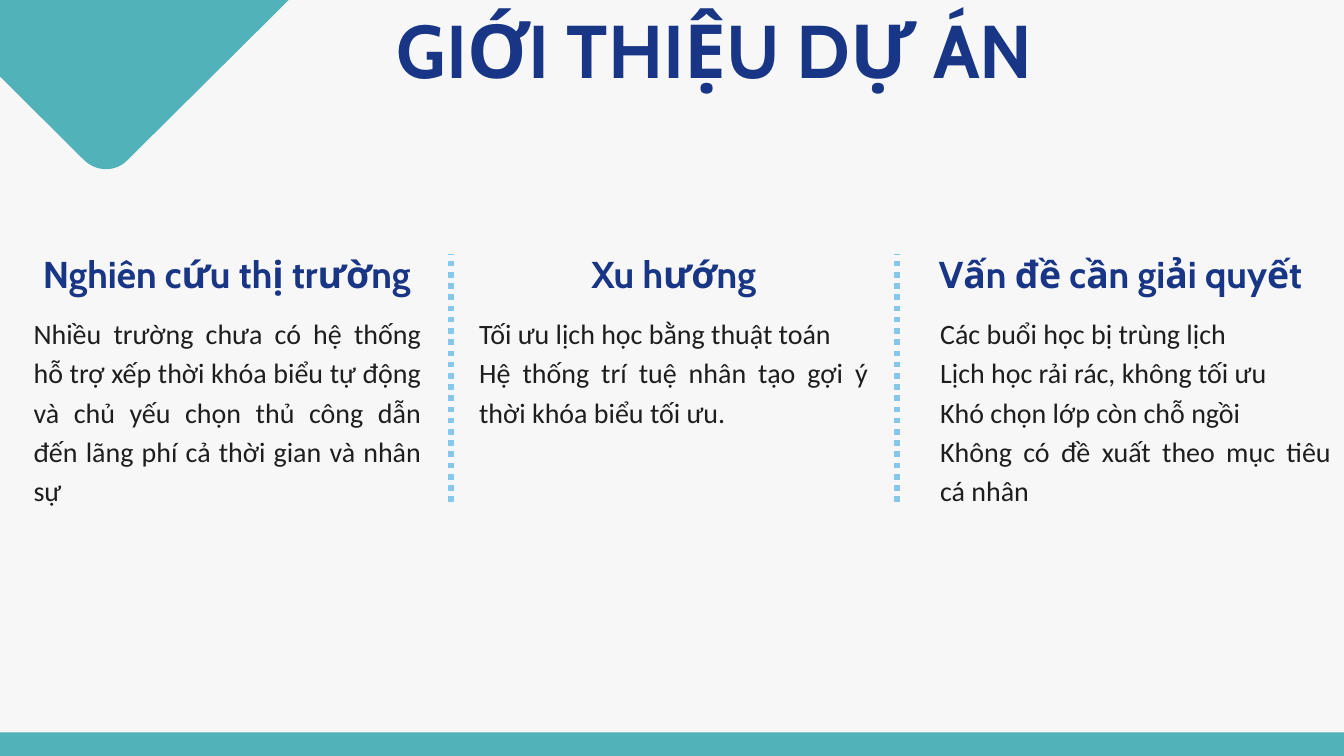
from dataclasses import dataclass

import pptx
import pptx.dml.color
import pptx.enum.dml
import pptx.enum.shapes
import pptx.enum.text
import pptx.oxml.ns
import pptx.slide
import pptx.util
from lxml import etree
from pptx.dml.color import RGBColor
from pptx.util import Inches

BACKGROUND = RGBColor(0xF7, 0xF7, 0xF7)
TEAL = RGBColor(0x51, 0xB2, 0xBA)
NAVY = RGBColor(0x18, 0x36, 0x85)
INK = RGBColor(0x1E, 0x1E, 0x1E)
SKY = RGBColor(0x86, 0xC7, 0xED)

ALIGN = pptx.enum.text.PP_ALIGN
Point = tuple[float, float]

HEADING_TOP, HEADING_WIDTH, HEADING_HEIGHT = 3.9, 6.27, 0.53
BODY_TOP = 4.63
DIVIDER_TOP, DIVIDER_BOTTOM = 3.78, 7.47
DIVIDERS = (6.71, 13.35)


@dataclass(frozen=True)
class Topic:
    heading: str
    heading_left: float
    body: tuple[str, ...]
    body_left: float
    body_width: float
    body_height: float


TOPICS = (
    Topic("Nghiên cứu thị trường", 0.24,
          ("Nhiều trường chưa có hệ thống hỗ trợ xếp thời khóa biểu tự động "
           "và chủ yếu chọn thủ công dẫn đến lãng phí cả thời gian và nhân sự",),
          0.5, 5.77, 2.84),
    Topic("Xu hướng", 6.89,
          ("Tối ưu lịch học bằng thuật toán",
           "Hệ thống trí tuệ nhân tạo gợi ý thời khóa biểu tối ưu."),
          7.13, 5.79, 2.27),
    Topic("Vấn đề cần giải quyết", 13.54,
          ("Các buổi học bị trùng lịch",
           "Lịch học rải rác, không tối ưu",
           "Khó chọn lớp còn chỗ ngồi",
           "Không có đề xuất theo mục tiêu cá nhân"),
          13.99, 5.82, 2.84),
)


def add_text(slide: pptx.slide.Slide, *lines: str, left: float, top: float,
             width: float, height: float, size: float, leading: float,
             font: str = "Cabin", color: RGBColor = NAVY, bold: bool = True,
             align: ALIGN = ALIGN.CENTER) -> None:
    box = slide.shapes.add_textbox(Inches(left), Inches(top), Inches(width), Inches(height))
    frame = box.text_frame
    frame.word_wrap = True
    frame.auto_size = pptx.enum.text.MSO_AUTO_SIZE.SHAPE_TO_FIT_TEXT
    frame.margin_left = frame.margin_right = frame.margin_top = frame.margin_bottom = 0
    for index, line in enumerate(lines):
        paragraph = frame.add_paragraph() if index else frame.paragraphs[0]
        paragraph.alignment = align
        paragraph.line_spacing = pptx.util.Pt(leading)
        run = paragraph.add_run()
        run.text = line
        run.font.name = font
        run.font.size = pptx.util.Pt(size)
        run.font.bold = bold
        run.font.color.rgb = color


def fill_plain(shape, color: RGBColor) -> None:
    shape.shadow.inherit = False
    shape.fill.solid()
    shape.fill.fore_color.rgb = color
    shape.line.fill.background()


def curve(*controls: Point, steps: int = 12) -> list[Point]:
    """Points along a cubic Bézier curve, both ends included."""
    points = []
    for step in range(steps + 1):
        t = step / steps
        weights = ((1 - t) ** 3, 3 * t * (1 - t) ** 2, 3 * t ** 2 * (1 - t), t ** 3)
        points.append((sum(w * x for w, (x, _) in zip(weights, controls)),
                       sum(w * y for w, (_, y) in zip(weights, controls))))
    return points


def add_corner_triangle(slide: pptx.slide.Slide) -> None:
    outline = [
        *curve((1.26, 2.39), (1.44, 2.56), (1.72, 2.56), (1.89, 2.39)),
        *curve((11.54, -7.19), (11.59, -7.24), (11.6, -7.32), (11.58, -7.39)),
        *curve((11.58, -7.39), (11.55, -7.46), (11.48, -7.5), (11.41, -7.5)),
        *curve((-8.25, -7.5), (-8.32, -7.5), (-8.39, -7.46), (-8.42, -7.39)),
        *curve((-8.42, -7.39), (-8.45, -7.32), (-8.43, -7.24), (-8.38, -7.19)),
    ]
    start, *rest = [(Inches(x), Inches(y)) for x, y in outline]
    builder = slide.shapes.build_freeform(*start)
    builder.add_line_segments(rest, close=True)
    fill_plain(builder.convert_to_shape(), TEAL)


def add_divider(slide: pptx.slide.Slide, x: float) -> None:
    divider = slide.shapes.add_connector(
        pptx.enum.shapes.MSO_CONNECTOR.STRAIGHT,
        Inches(x), Inches(DIVIDER_BOTTOM), Inches(x), Inches(DIVIDER_TOP))
    divider.line.color.rgb = SKY
    divider.line.width = pptx.util.Pt(6)
    divider.line.dash_style = pptx.enum.dml.MSO_LINE.ROUND_DOT
    etree.SubElement(divider._element.spPr, pptx.oxml.ns.qn("a:effectLst"))


def add_topic(slide: pptx.slide.Slide, topic: Topic) -> None:
    add_text(slide, *topic.body, left=topic.body_left, top=BODY_TOP,
             width=topic.body_width, height=topic.body_height, size=30, leading=42,
             font="Calibri", color=INK, bold=False, align=ALIGN.JUSTIFY)
    add_text(slide, topic.heading, left=topic.heading_left, top=HEADING_TOP,
             width=HEADING_WIDTH, height=HEADING_HEIGHT, size=40, leading=36)


def main() -> None:
    deck = pptx.Presentation()
    deck.slide_width, deck.slide_height = Inches(20), Inches(11.25)
    slide = deck.slides.add_slide(deck.slide_layouts[6])
    slide.background.fill.solid()
    slide.background.fill.fore_color.rgb = BACKGROUND

    # Corner decoration and title
    add_corner_triangle(slide)
    add_text(slide, "GIỚI THIỆU DỰ ÁN", left=4.08, top=0.39,
             width=13.12, height=1.09, size=80, leading=72)

    # Three topics with dotted dividers
    for x in DIVIDERS:
        add_divider(slide, x)
    for topic in TOPICS:
        add_topic(slide, topic)

    # Footer band
    footer = slide.shapes.add_shape(
        pptx.enum.shapes.MSO_SHAPE.RECTANGLE,
        Inches(-1.13), Inches(10.9), Inches(23.53), Inches(1.49))
    fill_plain(footer, TEAL)

    deck.save("out.pptx")


if __name__ == "__main__":
    main()
